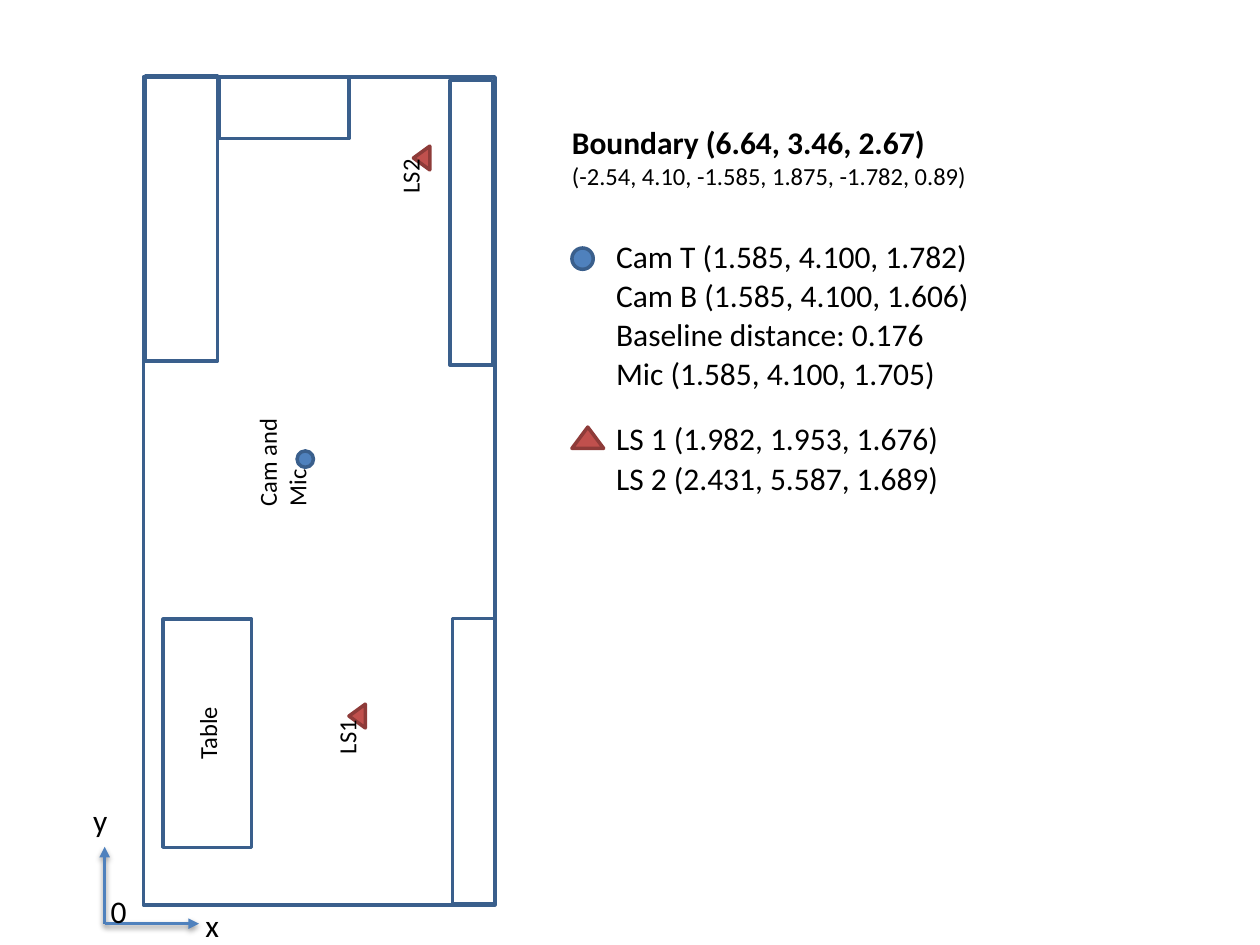
from dataclasses import dataclass

from lxml.etree import SubElement
from pptx import Presentation
from pptx.dml.color import RGBColor
from pptx.enum.shapes import MSO_CONNECTOR, MSO_SHAPE
from pptx.enum.text import MSO_ANCHOR, MSO_AUTO_SIZE, PP_ALIGN
from pptx.oxml.ns import qn
from pptx.util import Cm, Pt

COLORS = {
    "blue": "4F81BD",
    "blue_edge": "3A5F8C",
    "red": "C0504D",
    "red_edge": "8E3B39",
    "black": "000000",
}
FONT = "Calibri"
PLAN_ROTATION = 270


@dataclass
class Box:
    """Position and size in centimetres, before rotation in degrees."""
    left: float
    top: float
    width: float
    height: float
    rotation: int = 0

    def lengths(self) -> tuple:
        return Cm(self.left), Cm(self.top), Cm(self.width), Cm(self.height)


@dataclass
class Line:
    text: str
    size: int = 18
    bold: bool = False


def plan_box(left: float, top: float, width: float, height: float) -> Box:
    return Box(left, top, width, height, PLAN_ROTATION)


def rgb(name: str) -> RGBColor:
    return RGBColor.from_string(COLORS[name])


def add_run(paragraph, line: Line) -> None:
    run = paragraph.add_run()
    run.text = line.text
    run.font.name = FONT
    run.font.size = Pt(line.size)
    run.font.bold = line.bold
    run.font.color.rgb = rgb("black")


def add_text(slide, box: Box, *lines: Line, wrap: bool = True) -> None:
    shape = slide.shapes.add_textbox(*box.lengths())
    shape.rotation = box.rotation
    frame = shape.text_frame
    frame.word_wrap = wrap
    frame.auto_size = MSO_AUTO_SIZE.SHAPE_TO_FIT_TEXT
    for index, line in enumerate(lines):
        paragraph = frame.add_paragraph() if index else frame.paragraphs[0]
        add_run(paragraph, line)


def add_figure(slide, kind: MSO_SHAPE, box: Box, edge: str, fill: str = ""):
    shape = slide.shapes.add_shape(kind, *box.lengths())
    shape.rotation = box.rotation
    shape.shadow.inherit = False
    if fill:
        shape.fill.solid()
        shape.fill.fore_color.rgb = rgb(fill)
    else:
        shape.fill.background()
    shape.line.color.rgb = rgb(edge)
    shape.line.width = Pt(2)
    return shape


def add_furniture(slide, box: Box):
    return add_figure(slide, MSO_SHAPE.RECTANGLE, box, "blue_edge")


def add_camera(slide, box: Box) -> None:
    add_figure(slide, MSO_SHAPE.OVAL, box, "blue_edge", "blue")


def add_loudspeaker(slide, box: Box) -> None:
    add_figure(slide, MSO_SHAPE.ISOSCELES_TRIANGLE, box, "red_edge", "red")


def add_axis(slide, origin: tuple[float, float], end: tuple[float, float]) -> None:
    """Draw an arrow with a soft shadow below it."""
    points = [Cm(value) for value in (*origin, *end)]
    axis = slide.shapes.add_connector(MSO_CONNECTOR.STRAIGHT, *points)
    axis.line.color.rgb = rgb("blue")
    axis.line.width = Pt(2)
    SubElement(axis.line._get_or_add_ln(), qn("a:tailEnd"), type="triangle")
    effects = SubElement(axis._element.spPr, qn("a:effectLst"))
    shadow = SubElement(effects, qn("a:outerShdw"), blurRad="40000",
                        dist="20000", dir="5400000", rotWithShape="0")
    color = SubElement(shadow, qn("a:srgbClr"), val=COLORS["black"])
    SubElement(color, qn("a:alpha"), val="38000")


def add_axes(slide) -> None:
    origin = (2.11, 18.62)
    add_axis(slide, origin, (2.11, 17.07))
    add_axis(slide, origin, (4.01, 18.62))
    for text, left, top in (("x", 3.89, 18.14), ("y", 1.63, 16.03), ("0", 1.98, 17.86)):
        add_text(slide, Box(left, top, 0.81, 1.02), Line(text), wrap=False)


def add_legend_group(slide, top: float, texts: list[str]) -> None:
    line_pitch = 0.79
    for index, text in enumerate(texts):
        add_text(slide, Box(12.17, top + index * line_pitch, 8.36, 1.02), Line(text))


def add_legend(slide) -> None:
    add_text(
        slide, Box(11.28, 2.36, 9.91, 1.63),
        Line("Boundary (6.64, 3.46, 2.67)", bold=True),
        Line("(-2.54, 4.10, -1.585, 1.875, -1.782, 0.89)", 14),
    )
    add_camera(slide, Box(11.53, 5, 0.43, 0.43))
    add_legend_group(slide, 4.65, [
        "Cam T (1.585, 4.100, 1.782)",
        "Cam B (1.585, 4.100, 1.606)",
        "Baseline distance: 0.176",
        "Mic (1.585, 4.100, 1.705)",
    ])
    add_loudspeaker(slide, Box(11.53, 8.61, 0.64, 0.43))
    add_legend_group(slide, 8.33, [
        "LS 1 (1.982, 1.953, 1.676)",
        "LS 2 (2.431, 5.587, 1.689)",
    ])


def add_floor_plan(slide) -> None:
    room = plan_box(-1.91, 6.35, 16.69, 7.09)
    left_cabinet = plan_box(0.79, 3.68, 5.74, 1.45)
    top_cabinet = plan_box(5.11, 0.86, 1.24, 2.62)
    right_cabinets = [plan_box(6.63, 4.06, 5.74, 0.86), plan_box(6.68, 14.91, 5.74, 0.86)]
    for box in (room, left_cabinet, top_cabinet, *right_cabinets):
        add_furniture(slide, box)

    table = add_furniture(slide, plan_box(1.88, 13.89, 4.6, 1.78))
    table.text_frame.vertical_anchor = MSO_ANCHOR.MIDDLE
    paragraph = table.text_frame.paragraphs[0]
    paragraph.alignment = PP_ALIGN.CENTER
    add_run(paragraph, Line("Table", 14))

    add_camera(slide, plan_box(5.99, 9.09, 0.33, 0.33))
    for left, top in ((8.26, 3.02), (6.96, 14.27)):
        add_loudspeaker(slide, plan_box(left, top, 0.48, 0.33))
    for text, box in (
        ("LS1", plan_box(6.27, 14.3, 1.45, 0.86)),
        ("LS2", plan_box(7.62, 3.07, 1.3, 0.86)),
        ("Cam and Mic", plan_box(4.14, 8.18, 3.1, 1.45)),
    ):
        add_text(slide, box, Line(text, 14))


def main() -> None:
    presentation = Presentation()
    presentation.slide_width = Cm(25.4)
    presentation.slide_height = Cm(19.05)
    slide = presentation.slides.add_slide(presentation.slide_layouts[6])
    add_axes(slide)
    add_legend(slide)
    add_floor_plan(slide)
    presentation.save("out.pptx")


if __name__ == "__main__":
    main()
